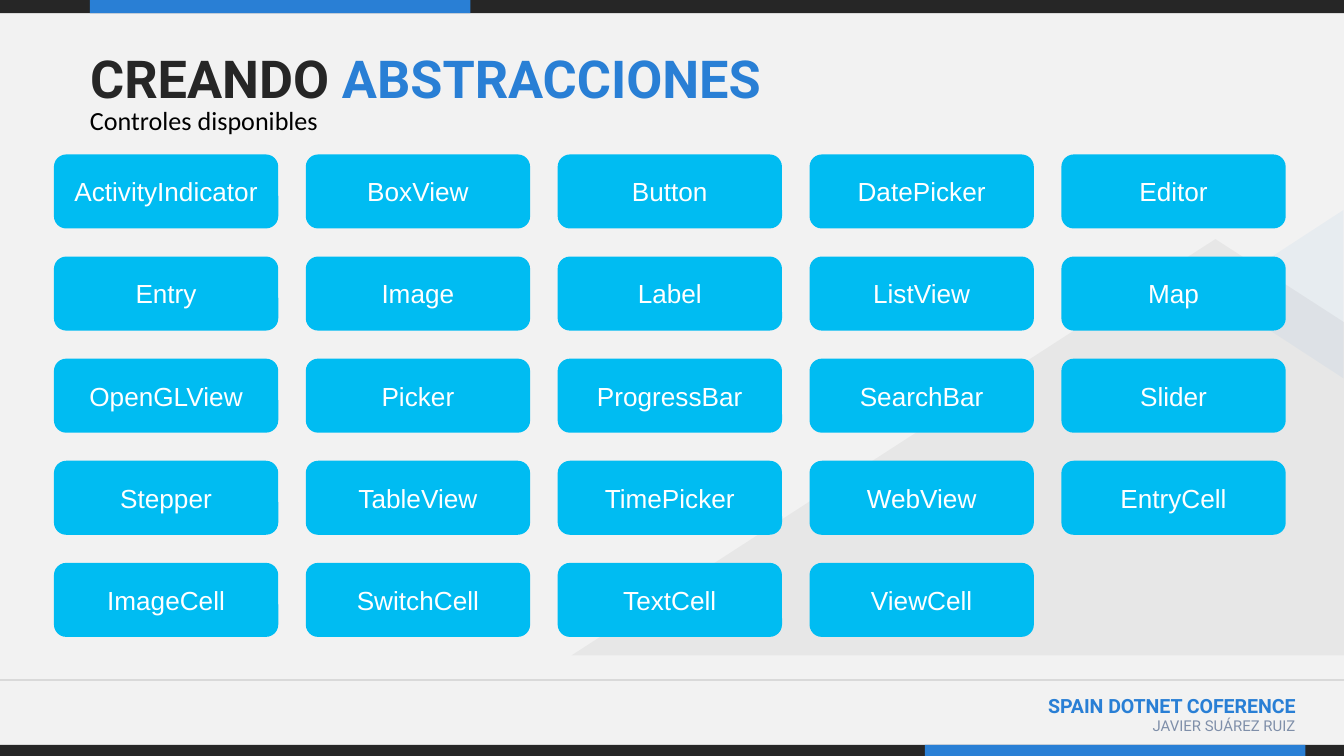
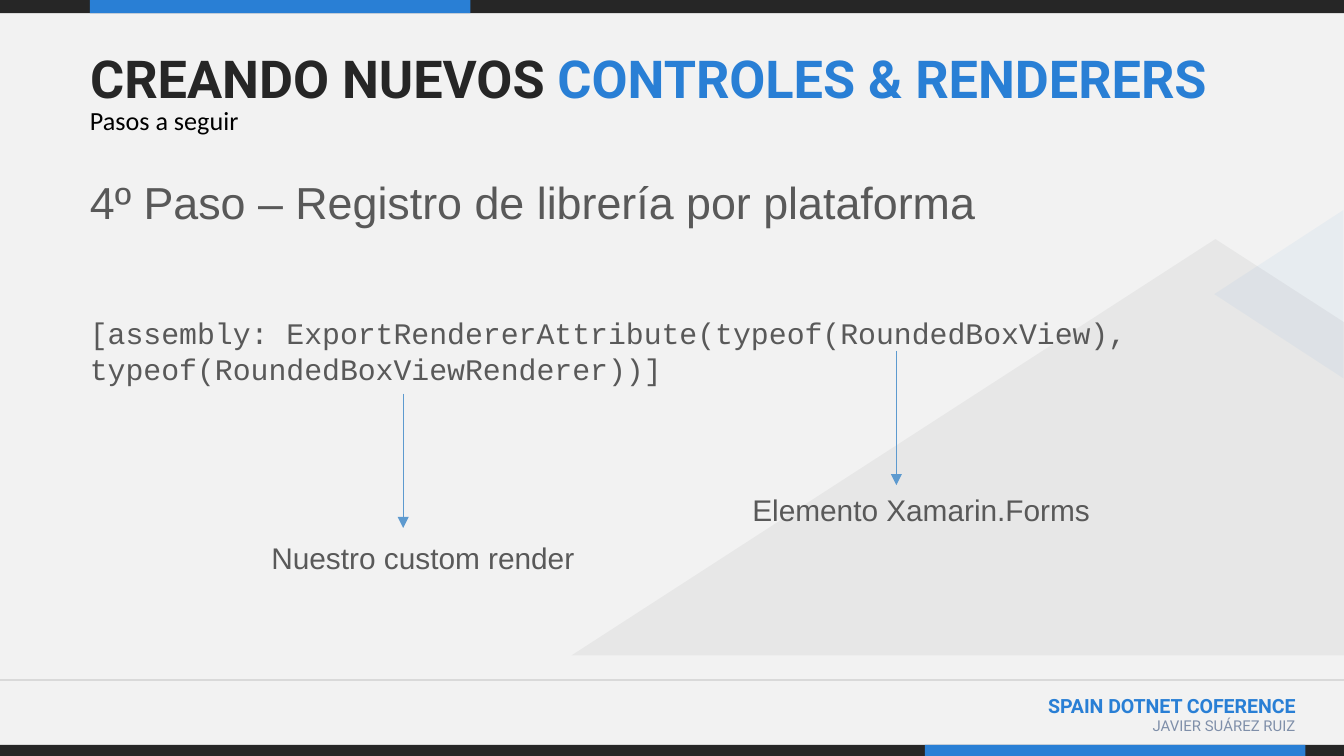
from dataclasses import dataclass

from pptx import Presentation
from pptx.dml.color import RGBColor
from pptx.enum.shapes import MSO_CONNECTOR, MSO_SHAPE
from pptx.enum.text import MSO_ANCHOR, MSO_AUTO_SIZE, PP_ALIGN
from pptx.oxml.ns import qn
from pptx.util import Cm, Pt
from lxml.etree import SubElement


@dataclass(frozen=True)
class Theme:
    """Colours, fonts and type sizes."""
    paper: str = "F2F2F2"
    dark: str = "262626"
    blue: str = "297FD5"
    slate: str = "7F8FA9"
    rule: str = "D9D9D9"
    cyan: str = "00BCF2"
    white: str = "FFFFFF"
    black: str = "000000"
    grey: str = "595959"
    arrow: str = "5D9ACF"
    head: str = "Roboto"
    sub: str = "Calibri"
    body: str = "Arial"
    code: str = "Courier New"
    title: float = 28
    step: float = 24
    note: float = 16
    label: float = 14
    event: float = 10.5
    author: float = 8


@dataclass(frozen=True)
class Box:
    """A rectangle in centimetres."""
    x: float
    y: float
    w: float
    h: float

    def sub(self, x, y, w, h):
        """Give a box placed relative to this one."""
        return Box(self.x + x, self.y + y, w, h)

    def cm(self):
        """Give left, top, width and height as lengths."""
        return Cm(self.x), Cm(self.y), Cm(self.w), Cm(self.h)


THEME = Theme()
PAGE = Box(0, 0, 25.4, 14.29)
HEAD = Box(1.45, 0.89, 22.5, 1.8)
GRID = Box(1.02, 2.92, 23.28, 9.12)
STEPS = Box(1.45, 3.18, 22.5, 8)
CONTROLS = (
    ("ActivityIndicator", "BoxView", "Button", "DatePicker", "Editor"),
    ("Entry", "Image", "Label", "ListView", "Map"),
    ("OpenGLView", "Picker", "ProgressBar", "SearchBar", "Slider"),
    ("Stepper", "TableView", "TimePicker", "WebView", "EntryCell"),
    ("ImageCell", "SwitchCell", "TextCell", "ViewCell"),
)


def color(code):
    """Turn a hex code into a colour."""
    return RGBColor.from_string(code)


def write(frame, runs, font, size, bold=False, align=PP_ALIGN.LEFT,
          anchor=MSO_ANCHOR.TOP):
    """Fill a text frame with (text, colour) runs."""
    frame.word_wrap = True
    frame.auto_size = MSO_AUTO_SIZE.NONE
    frame.vertical_anchor = anchor
    line = frame.paragraphs[0]
    line.alignment = align
    for words, tint in runs:
        run = line.add_run()
        run.text = words
        run.font.name = font
        run.font.size = Pt(size)
        run.font.bold = bold
        run.font.color.rgb = color(tint)
    return line


def text(slide, box, words, tint, font, size, **style):
    """Add a text box with one run."""
    frame = slide.shapes.add_textbox(*box.cm()).text_frame
    write(frame, [(words, tint)], font, size, **style)


def paint(shape, tint, alpha=None):
    """Give a shape a flat fill, without line or shadow."""
    shape.shadow.inherit = False
    shape.fill.solid()
    shape.fill.fore_color.rgb = color(tint)
    shape.line.fill.background()
    if alpha is not None:
        fill = shape.element.spPr.find(qn("a:solidFill"))
        SubElement(fill[0], qn("a:alpha")).set("val", str(alpha * 1000))


def block(slide, kind, box, tint, alpha=None):
    """Add a flat preset shape."""
    shape = slide.shapes.add_shape(kind, *box.cm())
    paint(shape, tint, alpha)
    return shape


def stroke(slide, start, end, tint, arrow=False):
    """Add a thin straight line, with an arrowhead if asked."""
    ends = [Cm(n) for n in (*start, *end)]
    line = slide.shapes.add_connector(MSO_CONNECTOR.STRAIGHT, *ends)
    line.line.color.rgb = color(tint)
    line.line.width = Pt(0.75)
    props = line.element.spPr
    if arrow:
        SubElement(props.find(qn("a:ln")), qn("a:tailEnd")).set("type", "triangle")
    SubElement(props, qn("a:effectLst"))


def band(slide, box, accent):
    """Draw a dark edge band with a blue accent."""
    block(slide, MSO_SHAPE.RECTANGLE, box, THEME.dark)
    block(slide, MSO_SHAPE.RECTANGLE, box.sub(accent, 0, 7.19, box.h), THEME.blue)


def peaks(slide, box):
    """Draw the pale mountains in the corner."""
    points = [(Cm(box.x + x), Cm(box.y + y)) for x, y in
              ((box.w, box.h), (box.w, 1.57), (12.17, 0), (0, box.h))]
    path = slide.shapes.build_freeform(*points[0], scale=1.0)
    path.add_line_segments(points[1:], close=True)
    paint(path.convert_to_shape(), THEME.dark, 5)
    tip = block(slide, MSO_SHAPE.ISOSCELES_TRIANGLE,
                box.sub(11.78, -0.18, 3.18, 2.44), THEME.blue, 5)
    tip.rotation = 270


def footer(slide, box):
    """Draw the rule, the event and the author."""
    stroke(slide, (box.x, box.y), (box.x + box.w, box.y), THEME.rule)
    text(slide, box.sub(18.62, 0.15, 6.12, 0.79), "SPAIN DOTNET COFERENCE",
         THEME.blue, THEME.head, THEME.event, bold=True, align=PP_ALIGN.RIGHT)
    text(slide, box.sub(20.14, 0.58, 4.6, 0.79), "JAVIER SUÁREZ RUIZ",
         THEME.slate, THEME.head, THEME.author, align=PP_ALIGN.RIGHT)


def header(slide, box, dark, blue, topic):
    """Format the title and add the topic below it."""
    title = slide.shapes.title
    title.left, title.top, title.width, title.height = box.sub(0, 0, box.w, 1.4).cm()
    line = write(title.text_frame, [(dark, THEME.dark), (blue, THEME.blue)],
                 THEME.head, THEME.title, bold=True)
    line.line_spacing = 0.9
    text(slide, box.sub(0, 0.96, box.w, 0.84), topic, THEME.black,
         THEME.sub, THEME.label, anchor=MSO_ANCHOR.MIDDLE)


def start(deck, dark, blue, topic):
    """Add a slide with everything the slides share."""
    slide = deck.slides.add_slide(deck.slide_layouts[5])
    slide.background.fill.solid()
    slide.background.fill.fore_color.rgb = color(THEME.paper)
    band(slide, PAGE.sub(0, 0, PAGE.w, 0.25), 1.7)
    band(slide, PAGE.sub(0, 14.08, PAGE.w, 0.21), 17.48)
    footer(slide, PAGE.sub(0, 12.85, PAGE.w, 1.23))
    peaks(slide, PAGE.sub(10.8, 4.52, 14.6, 7.87))
    header(slide, HEAD, dark, blue, topic)
    return slide


def grid(slide, box, rows):
    """Lay out the control names in even rows and columns."""
    wide, high = 4.24, 1.4
    across = (box.w - wide) / (len(rows[0]) - 1)
    down = (box.h - high) / (len(rows) - 1)
    for r, row in enumerate(rows):
        for c, name in enumerate(row):
            tile = block(slide, MSO_SHAPE.ROUNDED_RECTANGLE,
                         box.sub(c * across, r * down, wide, high), THEME.cyan)
            write(tile.text_frame, [(name, THEME.white)], THEME.body, THEME.label,
                  align=PP_ALIGN.CENTER, anchor=MSO_ANCHOR.MIDDLE)


def steps(slide, box):
    """Show the step, its code and the two pointed-out parts."""
    text(slide, box.sub(0, 0, 21.84, 1.27),
         "4º Paso – Registro de librería por plataforma",
         THEME.grey, THEME.body, THEME.step)
    text(slide, box.sub(0, 2.64, box.w, 1.63),
         "[assembly: ExportRendererAttribute(typeof(RoundedBoxView), "
         "typeof(RoundedBoxViewRenderer))]",
         THEME.grey, THEME.code, THEME.note)
    notes = (
        ("Nuestro custom render", 6.17, 4.26, 3.43, 6.9, 6.3),
        ("Elemento Xamarin.Forms", 15.49, 3.45, 12.52, 5.99, 7),
    )
    for words, x, y, left, top, wide in notes:
        tip = box.sub(x, y, 0, 2.54)
        stroke(slide, (tip.x, tip.y), (tip.x, tip.y + tip.h), THEME.arrow, True)
        text(slide, box.sub(left, top, wide, 0.94), words,
             THEME.grey, THEME.body, THEME.note)


def main():
    """Build and save the deck."""
    deck = Presentation()
    deck.slide_width, deck.slide_height = Cm(PAGE.w), Cm(PAGE.h)
    grid(start(deck, "CREANDO ", "ABSTRACCIONES", "Controles disponibles"),
         GRID, CONTROLS)
    steps(start(deck, "CREANDO NUEVOS ", "CONTROLES & RENDERERS", "Pasos a seguir"),
          STEPS)
    deck.save("out.pptx")


if __name__ == "__main__":
    main()
